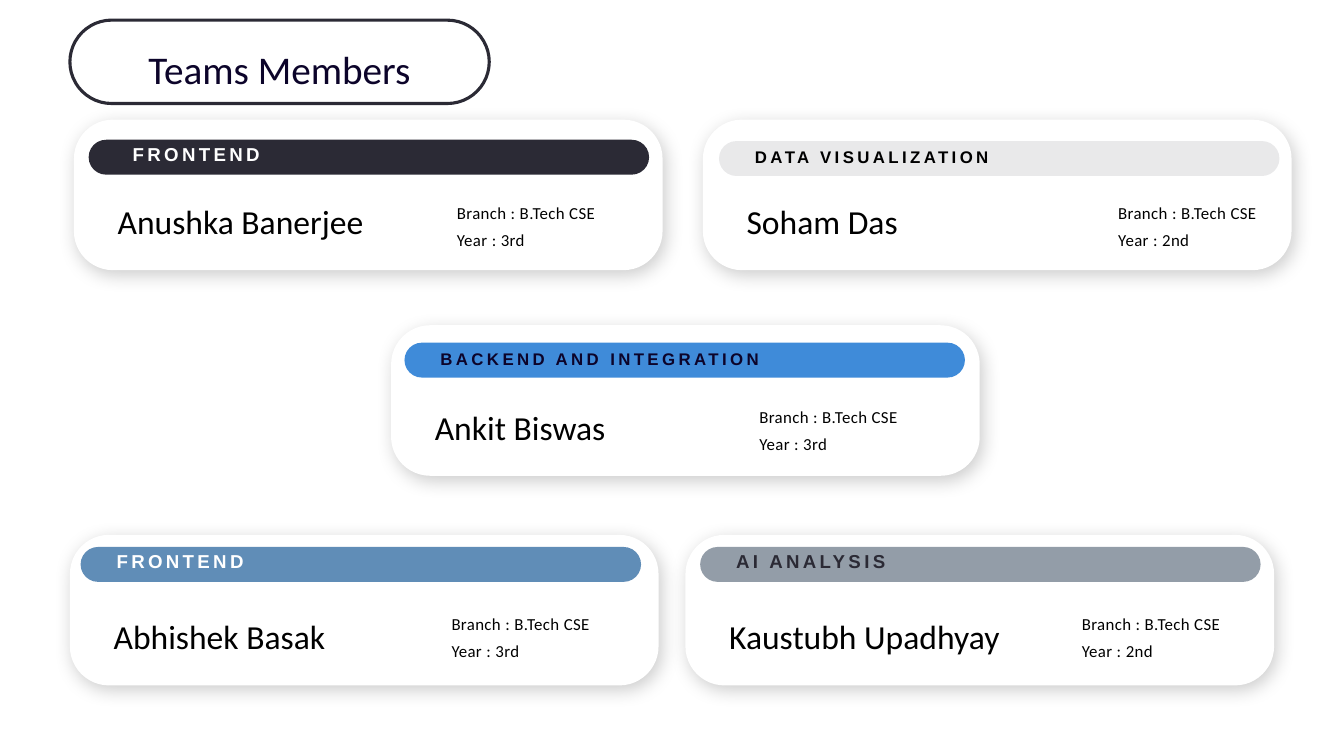
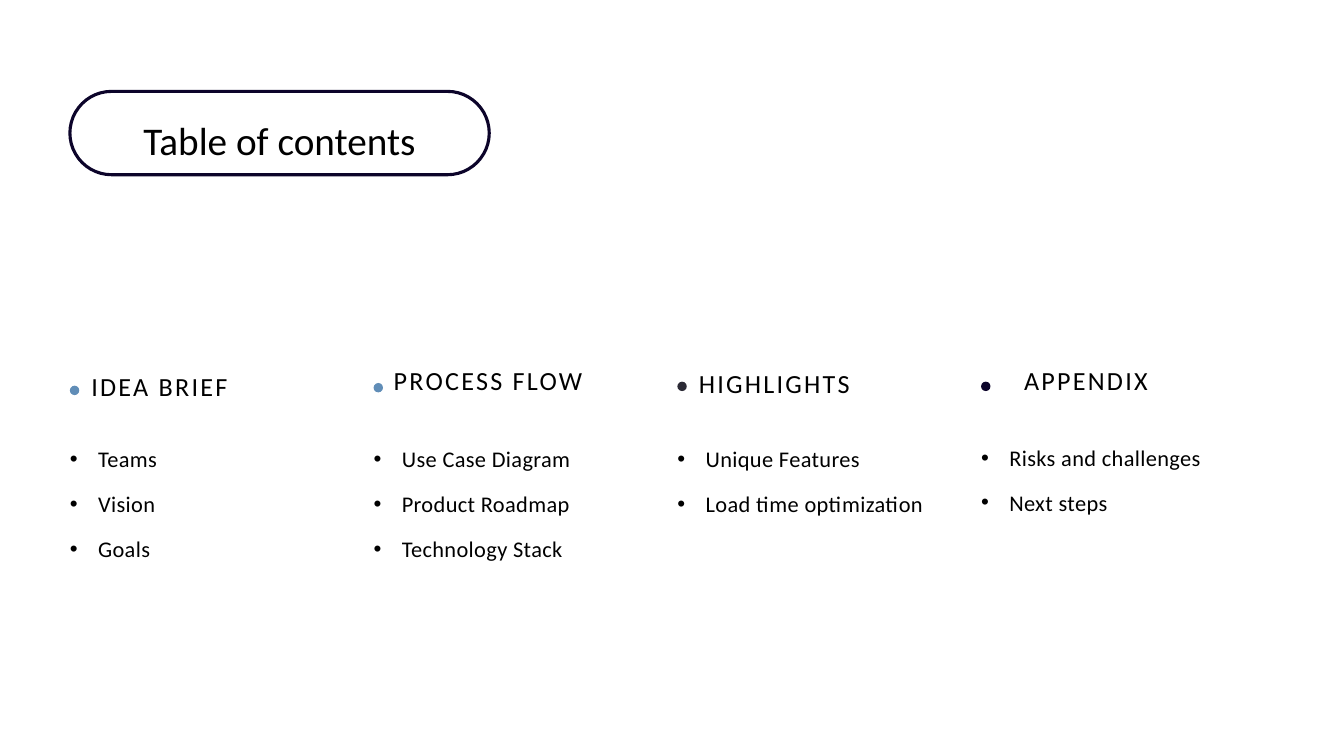
from dataclasses import dataclass

from lxml.etree import SubElement
from pptx import Presentation
from pptx.dml.color import RGBColor
from pptx.enum.shapes import MSO_SHAPE
from pptx.enum.text import MSO_ANCHOR, PP_ALIGN
from pptx.oxml.ns import qn
from pptx.util import Inches, Pt


@dataclass(frozen=True)
class Theme:
    white: str = "FFFFFF"
    black: str = "000000"
    navy: str = "0C042A"
    charcoal: str = "2B2A35"
    steel: str = "608DB7"
    blue: str = "3F8BD9"
    grey: str = "939DA8"
    body_font: str = "Calibri"
    band_font: str = "Arial"
    title_size: float = 21
    name_size: float = 18
    heading_size: float = 14
    item_size: float = 12
    band_size: float = 10
    long_band_size: float = 9
    detail_size: float = 9


THEME = Theme()


@dataclass(frozen=True)
class Style:
    size: float
    leading: float
    color: str = THEME.black
    font: str = THEME.body_font
    bold: bool = False
    tracking: float = 0
    align: PP_ALIGN = PP_ALIGN.LEFT


@dataclass(frozen=True)
class Member:
    name: str
    year: str
    role: str
    card: tuple
    band_offset: tuple
    detail_offset: tuple
    band_color: str
    role_color: str
    role_size: float = THEME.band_size
    band_opacity: int = 100
    role_inset: float = 0.23
    detail_align: PP_ALIGN = PP_ALIGN.LEFT


@dataclass(frozen=True)
class Section:
    heading: str
    items: tuple
    heading_at: tuple
    dot_top: float
    dot_color: str
    list_top: float = 3.18


CARD_WIDTH, CARD_HEIGHT = 4.38, 1.12
COLUMN_LEFT, COLUMN_STEP = 0.52, 2.26

MEMBERS = (
    Member("Soham Das", "2nd", "DATA VISUALIZATION", (5.23, 0.89), (0.12, 0.16),
           (3.09, 0.57), THEME.charcoal, THEME.black, THEME.long_band_size,
           band_opacity=10, detail_align=PP_ALIGN.JUSTIFY),
    Member("Kaustubh Upadhyay", "2nd", "AI ANALYSIS", (5.1, 3.98), (0.11, 0.09),
           (2.95, 0.54), THEME.grey, THEME.charcoal),
    Member("Anushka Banerjee", "3rd", "FRONTEND", (0.55, 0.89), (0.11, 0.15),
           (2.85, 0.57), THEME.charcoal, THEME.white,
           role_inset=0.29, detail_align=PP_ALIGN.JUSTIFY),
    Member("Abhishek Basak", "3rd", "FRONTEND", (0.52, 3.98), (0.08, 0.09),
           (2.84, 0.54), THEME.steel, THEME.white),
    Member("Ankit Biswas", "3rd", "BACKEND AND INTEGRATION", (2.91, 2.42), (0.1, 0.13),
           (2.74, 0.56), THEME.blue, THEME.navy, THEME.long_band_size),
)

SECTIONS = (
    Section("IDEA BRIEF", ("Teams", "Vision", "Goals"),
            (0.68, 2.8), 2.87, THEME.steel),
    Section("PROCESS FLOW", ("Use Case Diagram", "Product Roadmap", "Technology Stack"),
            (2.93, 2.76), 2.85, THEME.steel),
    Section("HIGHLIGHTS", ("Unique Features", "Load time optimization"),
            (5.2, 2.78), 2.84, THEME.charcoal),
    Section("APPENDIX", ("Risks and challenges", "Next steps"),
            (7.62, 2.76), 2.84, THEME.navy, list_top=3.17),
)


def set_format(target, values):
    for attribute, value in values.items():
        setattr(target, attribute, value)


def add_bullet(paragraph):
    properties = paragraph._p.get_or_add_pPr()
    indent = Inches(0.21)
    properties.set("marL", str(indent))
    properties.set("indent", str(-indent))
    SubElement(properties, qn("a:buFont")).set("typeface", "Arial")
    SubElement(properties, qn("a:buChar")).set("char", "•")


def write_lines(shape, lines, style, insets=(0, 0), anchor=MSO_ANCHOR.TOP, bulleted=False):
    """Fill a shape with one paragraph per line; insets are (sides, top and bottom)."""
    side, end = (Inches(inset) for inset in insets)
    frame = shape.text_frame
    set_format(frame, {
        "word_wrap": True, "vertical_anchor": anchor,
        "margin_left": side, "margin_right": side,
        "margin_top": end, "margin_bottom": end,
    })
    for index, line in enumerate(lines):
        paragraph = frame.add_paragraph() if index else frame.paragraphs[0]
        set_format(paragraph, {"alignment": style.align, "line_spacing": Pt(style.leading)})
        if bulleted:
            add_bullet(paragraph)
        run = paragraph.add_run()
        run.text = line
        set_format(run.font, {"name": style.font, "size": Pt(style.size), "bold": style.bold})
        run.font.color.rgb = RGBColor.from_string(style.color)
        if style.tracking:
            run.font._element.set("spc", str(round(style.tracking * 100)))


def add_text(slide, box, lines, style, bulleted=False):
    textbox = slide.shapes.add_textbox(*map(Inches, box))
    write_lines(textbox, lines, style, bulleted=bulleted)


def add_plain_shape(slide, preset, box, fill=None, line=None, rounding=None):
    shape = slide.shapes.add_shape(preset, *map(Inches, box))
    shape.shadow.inherit = False
    if rounding is not None:
        shape.adjustments[0] = rounding
    if fill:
        shape.fill.solid()
        shape.fill.fore_color.rgb = RGBColor.from_string(fill)
    else:
        shape.fill.background()
    if line:
        shape.line.color.rgb = RGBColor.from_string(line)
        shape.line.width = Pt(1.67)
    else:
        shape.line.fill.background()
    return shape


def add_pill(slide, box, rounding=0.8, **look):
    return add_plain_shape(slide, MSO_SHAPE.ROUNDED_RECTANGLE, box, rounding=rounding, **look)


def add_alpha(color_element, percent):
    SubElement(color_element, qn("a:alpha")).set("val", str(percent * 1000))


def add_soft_shadow(shape):
    effects = shape._element.spPr.find(qn("a:effectLst"))
    shadow = SubElement(effects, qn("a:outerShdw"), {
        "blurRad": str(Pt(10)), "dist": str(Pt(3)), "dir": str(60 * 60000),
        "algn": "ctr", "rotWithShape": "0",
    })
    add_alpha(SubElement(shadow, qn("a:srgbClr"), val=THEME.black), 20)


def add_title(slide, text, top, outline, color):
    pill = add_pill(slide, (COLUMN_LEFT, top, 3.12, 0.62), line=outline)
    style = Style(THEME.title_size, 33, color, align=PP_ALIGN.CENTER)
    write_lines(pill, [text], style, (0.17, 0.07), MSO_ANCHOR.MIDDLE)


def add_member(slide, member):
    left, top = member.card
    card = add_pill(slide, (left, top, CARD_WIDTH, CARD_HEIGHT), 0.26, fill=THEME.white)
    add_soft_shadow(card)
    write_lines(card, [member.name], Style(THEME.name_size, 36), (0.24, 0.13), MSO_ANCHOR.BOTTOM)

    across, down = member.band_offset
    band = add_pill(slide, (left + across, top + down, 4.17, 0.26), fill=member.band_color)
    if member.band_opacity < 100:
        add_alpha(band._element.spPr.find(qn("a:solidFill"))[0], member.band_opacity)
    role_style = Style(member.role_size, 15.8, member.role_color, THEME.band_font,
                       bold=True, tracking=1.8)
    write_lines(band, [member.role], role_style, (member.role_inset, 0.03), MSO_ANCHOR.BOTTOM)

    across, down = member.detail_offset
    add_text(slide, (left + across, top + down, CARD_WIDTH - across, 0.4),
             ["Branch : B.Tech CSE", f"Year : {member.year}"],
             Style(THEME.detail_size, 14.4, tracking=0.2, align=member.detail_align))


def add_section(slide, section, left):
    add_text(slide, (*section.heading_at, 1.77, 0.19), [section.heading],
             Style(THEME.heading_size, 13.5, tracking=1.2))
    add_text(slide, (left, section.list_top, 2.08, len(section.items) / 3), section.items,
             Style(THEME.item_size, 24, tracking=0.2), bulleted=True)
    add_plain_shape(slide, MSO_SHAPE.OVAL, (left, section.dot_top, 0.07, 0.07),
                    fill=section.dot_color)


def build_team_slide(slide):
    add_title(slide, "Teams Members", 0.15, THEME.charcoal, THEME.navy)
    for member in MEMBERS:
        add_member(slide, member)


def build_contents_slide(slide):
    for column, section in enumerate(SECTIONS):
        add_section(slide, section, COLUMN_LEFT + column * COLUMN_STEP)
    add_title(slide, "Table of contents", 0.68, THEME.navy, THEME.black)


def main():
    deck = Presentation()
    width = Inches(10)
    set_format(deck, {"slide_width": width, "slide_height": width * 9 // 16})
    blank = deck.slide_layouts[6]
    for build in (build_team_slide, build_contents_slide):
        build(deck.slides.add_slide(blank))
    deck.save("out.pptx")


if __name__ == "__main__":
    main()
